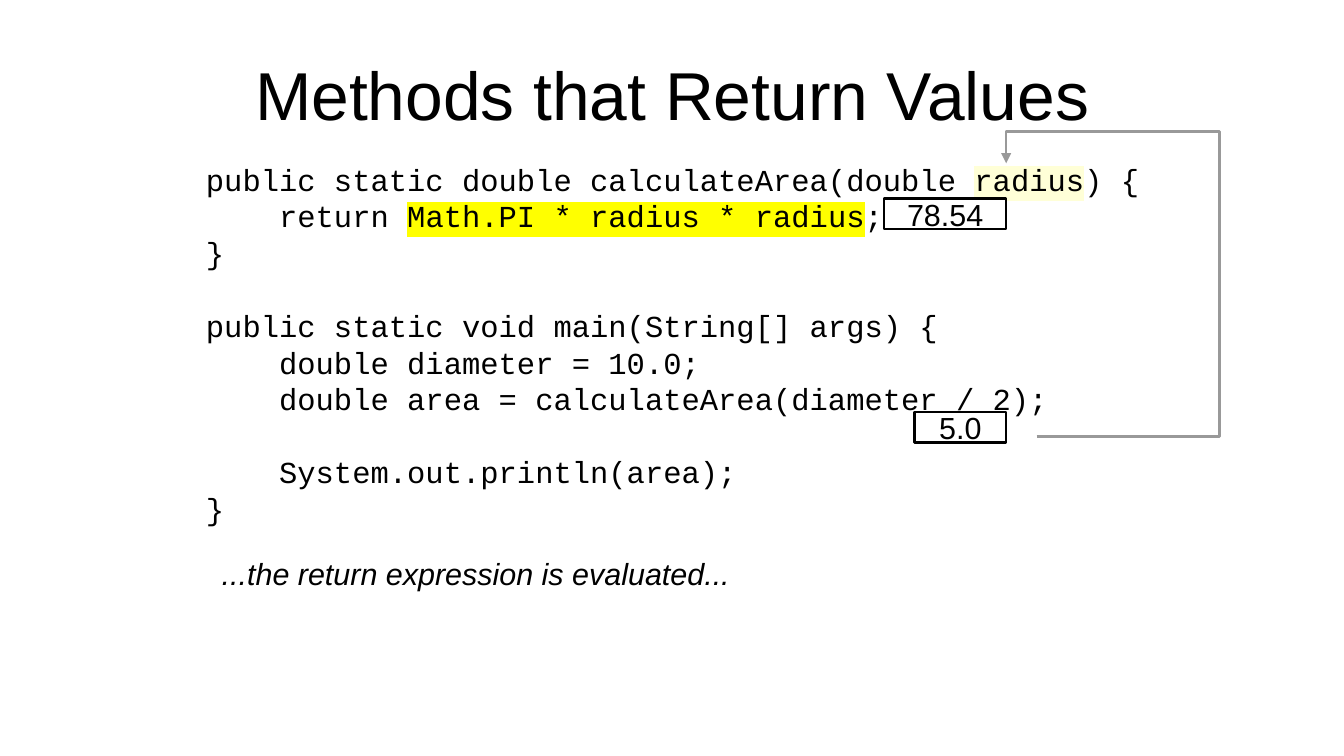
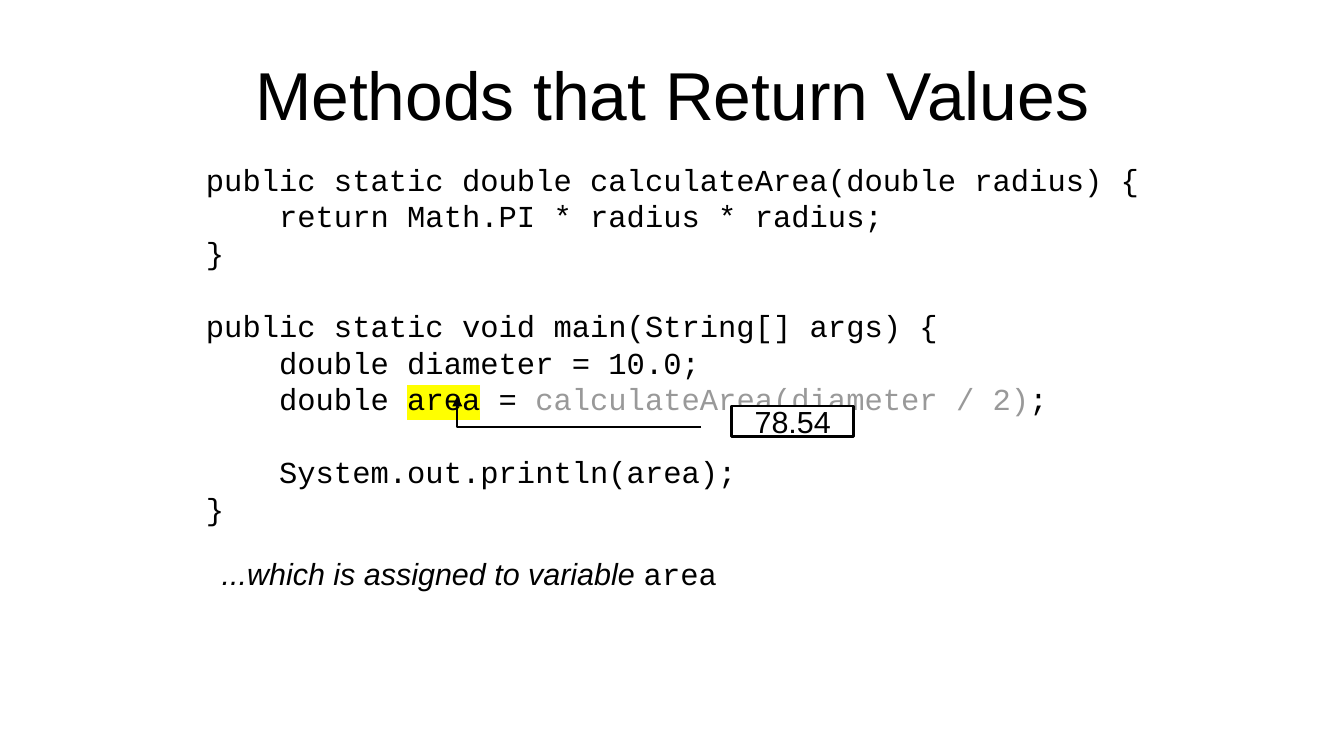
from pptx import Presentation
from pptx.dml.color import RGBColor
from pptx.enum.shapes import MSO_SHAPE
from pptx.enum.text import MSO_ANCHOR, MSO_AUTO_SIZE, PP_ALIGN
from pptx.oxml.ns import qn
from pptx.util import Inches, Pt
from lxml import etree

RECT = MSO_SHAPE.RECTANGLE
MIDDLE, TOP = MSO_ANCHOR.MIDDLE, MSO_ANCHOR.TOP
GROW = MSO_AUTO_SIZE.SHAPE_TO_FIT_TEXT
CENTER, LEFT = PP_ALIGN.CENTER, PP_ALIGN.LEFT

BLACK, WHITE, GREY = "000000", "FFFFFF", "999999"
YELLOW, CREAM = "FFFF00", "FFFFD7"
SANS, MONO = "Arial", "Courier New"
PITCH = Pt(21.6)

TITLE = "Methods that Return Values"
CODE = """public static double calculateArea(double radius) {
    return Math.PI * radius * radius;
}

public static void main(String[] args) {
    double diameter = 10.0;
    double area = calculateArea(diameter / 2);

    System.out.println(area);
}"""


def rgb(color):
    return RGBColor.from_string(color)


def split(line, marks):
    """Cut a line into runs; marks are (word, look) pairs in reading order."""
    runs = []
    for word, look in marks:
        before, word, line = line.partition(word)
        runs += [(before, {}), (word, look)]
    return [run for run in runs + [(line, {})] if run[0]]


class Deck:
    """Holds the style and the current slide."""

    base = {"size": Pt(18), "name": SANS}

    def __init__(self):
        self.show = Presentation()
        self.show.slide_width = Inches(11.02)
        self.show.slide_height = Inches(6.2)

    def start(self):
        self.slide = self.show.slides.add_slide(self.show.slide_layouts[6])
        self.slide.background.fill.solid()
        self.slide.background.fill.fore_color.rgb = rgb(WHITE)
        self.text((0.55, 0.25, 9.92, 1.04), [(TITLE, {"size": Pt(40)})],
                  (0, 0), MIDDLE, CENTER)

    def frame(self, shape, inset, anchor):
        side, edge = map(Inches, inset)
        look = {"margin_left": side, "margin_right": side,
                "margin_top": edge, "margin_bottom": edge,
                "word_wrap": False, "vertical_anchor": anchor}
        for key, value in look.items():
            setattr(shape.text_frame, key, value)
        return shape.text_frame

    def fill(self, para, runs):
        """Add (text, look) runs to a paragraph."""
        for text, look in runs:
            look = {**self.base, **look}
            color = look.pop("color", BLACK)
            mark = look.pop("mark", None)
            run = para.add_run()
            run.text = text
            for key, value in look.items():
                setattr(run.font, key, value)
            run.font.color.rgb = rgb(color)
            if mark:
                light = etree.Element(qn("a:highlight"))
                etree.SubElement(light, qn("a:srgbClr"), val=mark)
                run.font.fill._xPr.find(qn("a:solidFill")).addnext(light)

    def text(self, place, runs, inset=(0.1, 0.05), anchor=TOP, align=LEFT):
        box = self.slide.shapes.add_textbox(*map(Inches, place))
        frame = self.frame(box, inset, anchor)
        frame.word_wrap = align == CENTER
        para = frame.paragraphs[0]
        para.alignment = align
        self.fill(para, runs)

    def code(self, marks):
        """Draw the listing; marks maps a row to its marked words."""
        box = self.slide.shapes.add_textbox(*map(Inches, (1.59, 1.27, 7.85, 3.03)))
        frame = self.frame(box, (0.1, 0.05), TOP)
        frame.auto_size = GROW
        para, gap = frame.paragraphs[0], False
        for row, line in enumerate(CODE.split("\n")):
            if not line:
                gap = True
                continue
            if row:
                para = frame.add_paragraph()
            para.line_spacing = PITCH
            if gap:
                para.space_before = PITCH
            gap = False
            runs = split(line, marks.get(row, []))
            self.fill(para, [(t, {"name": MONO, **look}) for t, look in runs])

    def note(self, *runs):
        self.text((1.72, 4.5, 4.37, 0.38), runs)

    def value(self, left, top, width, text):
        box = self.slide.shapes.add_shape(
            RECT, *map(Inches, (left, top, width, 0.25)))
        box.shadow.inherit = False
        box.fill.solid()
        box.fill.fore_color.rgb = rgb(WHITE)
        box.line.color.rgb = rgb(BLACK)
        box.line.width = Pt(1.5)
        para = self.frame(box, (0.11, 0.06), MIDDLE).paragraphs[0]
        para.alignment = CENTER
        self.fill(para, [(text, {})])

    def arrow(self, points, color, width):
        """Draw an open bent line with an arrowhead at its last point."""
        first, *rest = [(Inches(x), Inches(y)) for x, y in points]
        pen = self.slide.shapes.build_freeform(*first)
        pen.add_line_segments(rest, close=False)
        path = pen.convert_to_shape()
        path.shadow.inherit = False
        path.fill.background()
        path.line.color.rgb = rgb(color)
        path.line.width = Pt(width)
        etree.SubElement(path.line._get_or_add_ln(), qn("a:tailEnd"),
                         type="triangle")


def main():
    deck = Deck()
    slant = {"italic": True}

    deck.start()
    deck.code({0: [("radius", {"mark": CREAM})],
               1: [("Math.PI * radius * radius", {"mark": YELLOW})]})
    deck.note(("...the return expression is evaluated...", slant))
    deck.value(7.5, 3.38, 0.75, "5.0")
    deck.arrow([(8.5, 3.58), (10, 3.58), (10, 1.08), (8.25, 1.08),
                (8.25, 1.34)], GREY, 1.5)
    deck.value(7.25, 1.63, 1, "78.54")

    deck.start()
    deck.code({6: [("area", {"mark": YELLOW}),
                   ("calculateArea(diameter / 2)", {"color": GREY})]})
    deck.note(("...which is assigned to variable ", slant),
              ("area", {"name": MONO}))
    deck.value(6, 3.33, 1, "78.54")
    deck.arrow([(5.75, 3.5), (3.75, 3.5), (3.75, 3.25)], BLACK, 1)

    deck.show.save("out.pptx")


if __name__ == "__main__":
    main()
